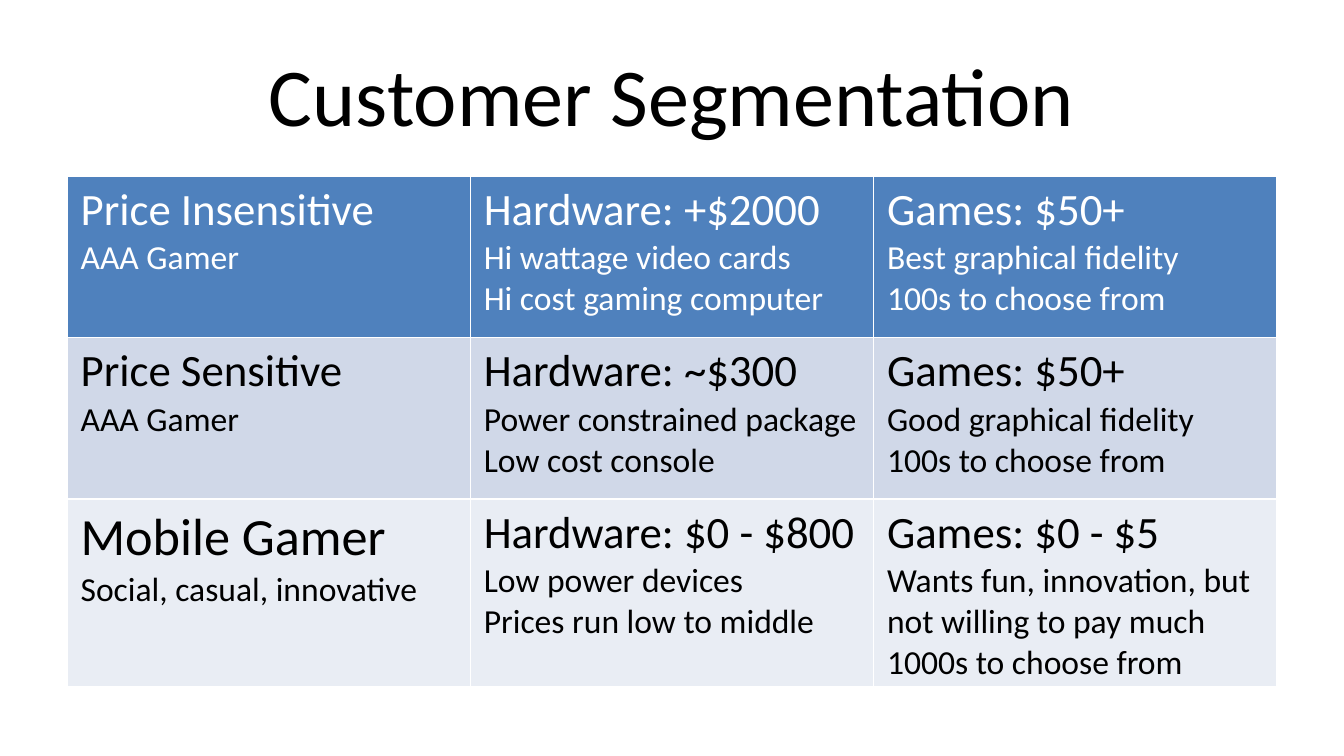
import pptx
import pptx.dml.color
import pptx.enum.text
import pptx.oxml
import pptx.oxml.ns
import pptx.util

Pt = pptx.util.Pt
ALIGN = pptx.enum.text.PP_ALIGN
ANCHOR = pptx.enum.text.MSO_ANCHOR

SEGMENTS = [
    ("4F81BD", "FFFFFF", [
        (24, ["Price Insensitive", "AAA Gamer"]),
        (24, ["Hardware: +$2000", "Hi wattage video cards", "Hi cost gaming computer"]),
        (24, ["Games: $50+", "Best graphical fidelity", "100s to choose from"]),
    ]),
    ("D0D8E8", "000000", [
        (24, ["Price Sensitive", "AAA Gamer"]),
        (24, ["Hardware: ~$300", "Power constrained package", "Low cost console"]),
        (24, ["Games: $50+", "Good graphical fidelity", "100s to choose from"]),
    ]),
    ("E9EDF4", "000000", [
        (28, ["Mobile Gamer", "Social, casual, innovative"]),
        (24, ["Hardware: $0 - $800", "Low power devices", "Prices run low to middle"]),
        (24, ["Games: $0 - $5", "Wants fun, innovation, but not willing to pay much",
              "1000s to choose from"]),
    ]),
]


def color(value):
    """Turn a hex string into a colour."""
    return pptx.dml.color.RGBColor.from_string(value)


def write(para, text, size=18, ink="000000", align=ALIGN.LEFT):
    """Write formatted text into a paragraph."""
    para.alignment = align
    span = para.add_run()
    span.text = text
    span.font.name = "Calibri"
    span.font.size = Pt(size)
    span.font.bold = False
    span.font.color.rgb = color(ink)


def outline(cell, ink="FFFFFF", width=1):
    """Draw the four borders of a cell."""
    properties = cell._tc.get_or_add_tcPr()
    for side in "LRTB":
        properties.append(pptx.oxml.parse_xml(
            f'<a:ln{side} {pptx.oxml.ns.nsdecls("a")} w="{Pt(width)}">'
            f'<a:solidFill><a:srgbClr val="{ink}"/></a:solidFill></a:ln{side}>'))


def add_title(page, text, left, top, width, height):
    """Place the centred slide title."""
    box = page.shapes.add_textbox(Pt(left), Pt(top), Pt(width), Pt(height))
    frame = box.text_frame
    frame.word_wrap = True
    frame.vertical_anchor = ANCHOR.MIDDLE
    write(frame.paragraphs[0], text, size=44, align=ALIGN.CENTER)


def fill_cell(cell, fill, ink, heading_size, lines):
    """Fill a cell with a heading and its detail lines."""
    outline(cell)
    cell.fill.solid()
    cell.fill.fore_color.rgb = color(fill)
    frame = cell.text_frame
    for index, line in enumerate(lines):
        para = frame.add_paragraph() if index else frame.paragraphs[0]
        write(para, line, size=18 if index else heading_size, ink=ink)


def add_segments(page, segments, left, top, width, height):
    """Place the table with one row for each customer segment."""
    columns = len(segments[0][2])
    table = page.shapes.add_table(
        len(segments), columns, Pt(left), Pt(top), Pt(width), Pt(height)).table
    for column in table.columns:
        column.width = Pt(width / columns)
    for row, (fill, ink, entries) in zip(table.rows, segments):
        row.height = Pt(height / len(segments))
        for cell, (heading_size, lines) in zip(row.cells, entries):
            fill_cell(cell, fill, ink, heading_size, lines)


def build():
    """Build and save the deck."""
    deck = pptx.Presentation()
    deck.slide_width, deck.slide_height = Pt(720), Pt(405)
    page = deck.slides.add_slide(deck.slide_layouts[6])
    add_title(page, "Customer Segmentation", 36, 16.2, 648, 67.5)
    add_segments(page, SEGMENTS, 36, 94.5, 648, 259.2)
    deck.save("out.pptx")


build()
